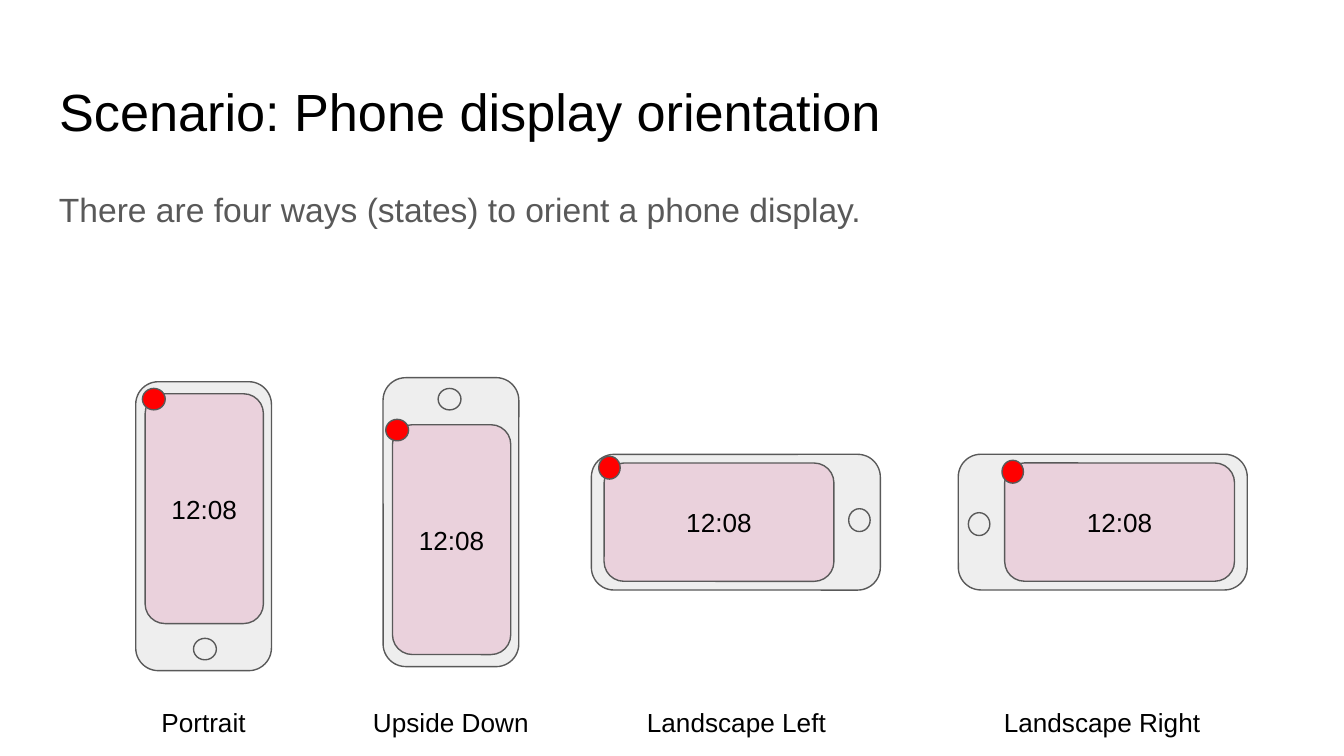
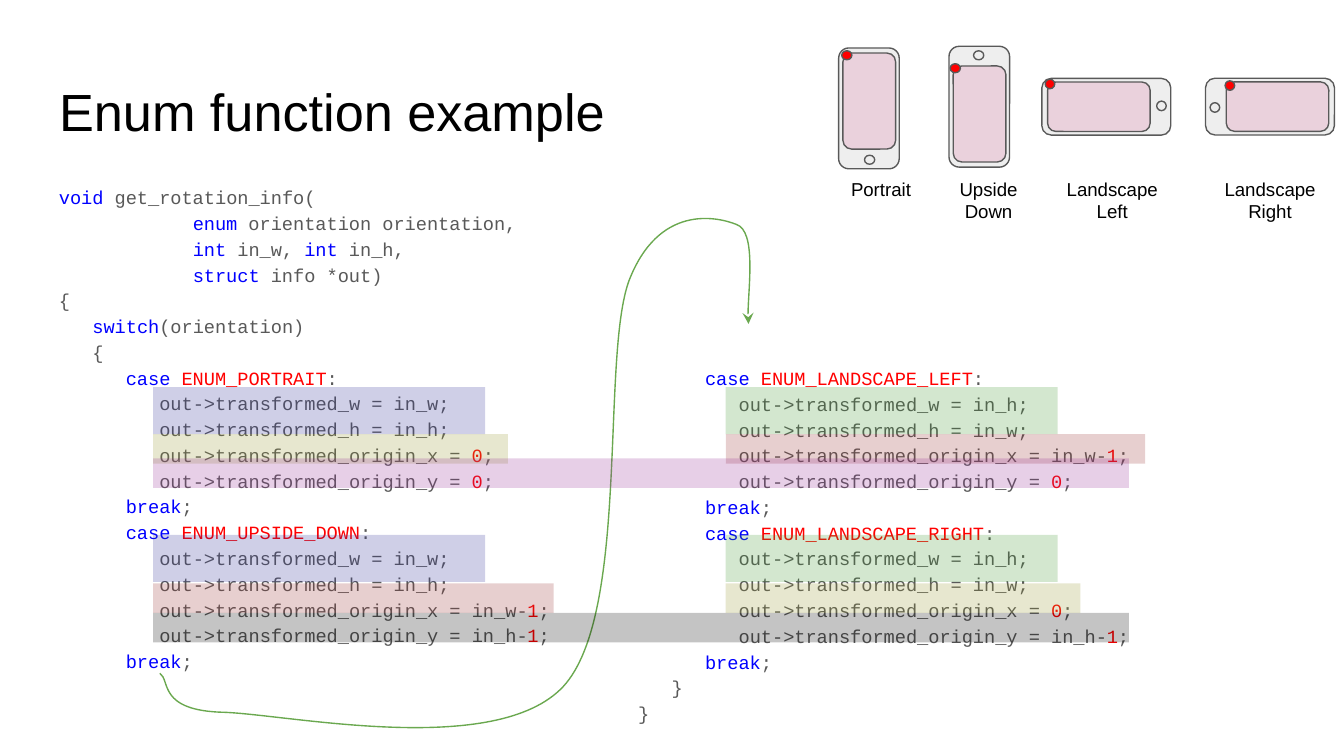
from dataclasses import dataclass
from itertools import groupby
from typing import NamedTuple

from lxml import etree
from pptx import Presentation, util as u
from pptx.dml.color import RGBColor
from pptx.enum import shapes, text
from pptx.oxml.ns import qn

# Shared look
BLACK = RGBColor(0x00, 0x00, 0x00)
GREY = RGBColor(0x59, 0x59, 0x59)
CASE_GREY = RGBColor(0xEE, 0xEE, 0xEE)
SCREEN_PINK = RGBColor(0xEA, 0xD1, 0xDC)
RED = RGBColor(0xFF, 0x00, 0x00)
BLUE = RGBColor(0x00, 0x00, 0xFF)
ARROW_GREEN = RGBColor(0x6A, 0xA8, 0x4F)
MARK_BLUE = RGBColor(0x33, 0x33, 0x99)
MARK_GREEN = RGBColor(0x44, 0x99, 0x33)
MARK_YELLOW = RGBColor(0x99, 0x99, 0x33)
MARK_RED = RGBColor(0x99, 0x33, 0x33)
MARK_PURPLE = RGBColor(0x99, 0x33, 0x99)
SANS, MONO = "Arial", "Courier New"
KEYWORDS = {"void", "enum", "int", "struct", "switch", "case", "break"}

# Grid: 100 columns across the slide, rows of the same size
WIDTH = u.Inches(10)
HEIGHT = WIDTH * 9 // 16
CELL = WIDTH // 100


def cells(count: float) -> u.Emu:
    return u.Emu(round(count * CELL))


class Box(NamedTuple):
    left: float
    top: float
    width: float
    height: float

    def place(self) -> list[u.Emu]:
        return [cells(value) for value in self]


class Point(NamedTuple):
    x: float
    y: float


class Part(NamedTuple):
    """A piece of a phone, sized as it is on an upright phone."""
    kind: shapes.MSO_SHAPE
    width: float
    height: float
    colour: RGBColor


class Frame(NamedTuple):
    """Shift and scale that place the row of phones on a slide."""
    left: float
    top: float
    scale_x: float
    scale_y: float


@dataclass(frozen=True)
class Phone:
    name: str
    rotation: int
    centres: tuple[Point, ...]  # one per entry of PARTS
    label: Box
    small_label: Box


class Mark(NamedTuple):
    box: Box
    colour: RGBColor


PARTS = (
    Part(shapes.MSO_SHAPE.FLOWCHART_ALTERNATE_PROCESS, 10.1, 21.5, CASE_GREY),
    Part(shapes.MSO_SHAPE.ROUNDED_RECTANGLE, 8.8, 17.1, SCREEN_PINK),
    Part(shapes.MSO_SHAPE.OVAL, 1.7, 1.6, CASE_GREY),
    Part(shapes.MSO_SHAPE.OVAL, 1.7, 1.6, RED),
)
SCREEN = 1
LABEL_ROW, SMALL_LABEL_ROW = 51.6, 13.2

PHONES = (
    Phone("Portrait", 0,
          (Point(15.15, 39.15), Point(15.2, 37.85), Point(15.25, 48.3), Point(11.45, 29.7)),
          Box(8.3, LABEL_ROW, 13.7, 3.6), Box(62.6, SMALL_LABEL_ROW, 5.9, 1.5)),
    Phone("Upside Down", 180,
          (Point(33.55, 38.85), Point(33.6, 40.15), Point(33.45, 29.7), Point(29.55, 32)),
          Box(26.7, LABEL_ROW, 13.7, 3.6), Box(70.6, SMALL_LABEL_ROW, 5.9, 1.5)),
    Phone("Landscape Left", 270,
          (Point(54.75, 38.85), Point(53.5, 38.85), Point(63.95, 38.7), Point(45.35, 34.8)),
          Box(46.8, LABEL_ROW, 16, 3.6), Box(79.3, SMALL_LABEL_ROW, 6.9, 1.5)),
    Phone("Landscape Right", 90,
          (Point(82.05, 38.85), Point(83.3, 38.85), Point(72.85, 39), Point(75.35, 35.1)),
          Box(73.4, LABEL_ROW, 17.2, 3.6), Box(90.8, SMALL_LABEL_ROW, 7.4, 1.5)),
)
FULL_SIZE = Frame(0, 0, 1, 1)
THUMBNAILS = Frame(57.9, -8.3, 0.446, 0.418)


# Text
def add_run(paragraph, words: str, size: float, colour: RGBColor, font: str = SANS) -> None:
    run = paragraph.add_run()
    run.text = words
    run.font.size = u.Pt(size)
    run.font.name = font
    run.font.color.rgb = colour


def set_frame(frame, inset: float = 1, anchor=text.MSO_ANCHOR.TOP) -> None:
    frame.word_wrap = True
    frame.auto_size = text.MSO_AUTO_SIZE.NONE
    frame.vertical_anchor = anchor
    frame.margin_left = frame.margin_right = cells(inset)
    frame.margin_top = frame.margin_bottom = cells(inset)


def add_text_box(slide, box: Box, inset: float = 1, anchor=text.MSO_ANCHOR.TOP):
    frame = slide.shapes.add_textbox(*box.place()).text_frame
    set_frame(frame, inset, anchor)
    return frame


def add_centred_text(slide, box: Box, words: str, size: float, inset: float = 1,
                     anchor=text.MSO_ANCHOR.TOP) -> None:
    paragraph = add_text_box(slide, box, inset, anchor).paragraphs[0]
    paragraph.alignment = text.PP_ALIGN.CENTER
    add_run(paragraph, words, size, BLACK)


def add_titled_slide(presentation, title: str):
    slide = presentation.slides.add_slide(presentation.slide_layouts[5])
    shape = slide.shapes.title
    shape.left, shape.top, shape.width, shape.height = Box(3.4, 4.9, 93.2, 6.3).place()
    set_frame(shape.text_frame)
    paragraph = shape.text_frame.paragraphs[0]
    paragraph.alignment = text.PP_ALIGN.LEFT
    add_run(paragraph, title, 28, BLACK)
    return slide


# Phones
def add_phone(slide, phone: Phone, frame: Frame) -> None:
    group = slide.shapes.add_group_shape()
    scales = frame.scale_x, frame.scale_y
    if phone.rotation % 180:
        scales = scales[::-1]
    for part, centre in zip(PARTS, phone.centres):
        width, height = part.width * scales[0], part.height * scales[1]
        box = Box(frame.left + centre.x * frame.scale_x - width / 2,
                  frame.top + centre.y * frame.scale_y - height / 2, width, height)
        shape = group.shapes.add_shape(part.kind, *box.place())
        shape.rotation = phone.rotation
        shape.shadow.inherit = False
        shape.fill.solid()
        shape.fill.fore_color.rgb = part.colour
        shape.line.color.rgb = GREY
        shape.line.width = u.Pt(0.75)


def add_clock(slide, phone: Phone) -> None:
    width, height = PARTS[SCREEN].width, PARTS[SCREEN].height
    if phone.rotation % 180:
        width, height = height, width
    centre = phone.centres[SCREEN]
    box = Box(centre.x - width / 2, centre.y - height / 2, width, height)
    add_centred_text(slide, box, "12:08", 14, anchor=text.MSO_ANCHOR.MIDDLE)


# Code
def case_lines(name: str, width: str, height: str, x: str, y: str) -> list[str]:
    fields = {"w": width, "h": height, "origin_x": x, "origin_y": y}
    return [f"      case {name}:",
            *(f"         out->transformed_{field} = {value};" for field, value in fields.items()),
            "      break;"]


LEFT_CODE = [
    "void get_rotation_info(",
    "            enum orientation orientation,",
    "            int in_w, int in_h,",
    "            struct info *out)",
    "{",
    "   switch(orientation)",
    "   {",
    *case_lines("ENUM_PORTRAIT", "in_w", "in_h", "0", "0"),
    *case_lines("ENUM_UPSIDE_DOWN", "in_w", "in_h", "in_w-1", "in_h-1"),
]
RIGHT_CODE = [
    *case_lines("ENUM_LANDSCAPE_LEFT", "in_h", "in_w", "in_w-1", "0"),
    *case_lines("ENUM_LANDSCAPE_RIGHT", "in_h", "in_w", "0", "in_h-1"),
    "   }",
    "}",
]


def token_colour(token: str) -> RGBColor:
    if token in KEYWORDS:
        return BLUE
    return RED if token.isdigit() or token.startswith("ENUM_") else GREY


def add_code(slide, box: Box, lines: list[str]) -> None:
    frame = add_text_box(slide, box)
    for number, line in enumerate(lines):
        paragraph = frame.add_paragraph() if number else frame.paragraphs[0]
        paragraph.line_spacing = 1.15
        tokens = ["".join(group) for _, group in
                  groupby(line, lambda letter: letter.isalnum() or letter == "_")]
        for colour, group in groupby(tokens, token_colour):
            add_run(paragraph, "".join(group), 10, colour, MONO)


LEFT_MARK, RIGHT_MARK = 11.4, 54
MARKS = (
    *(Mark(Box(left, top, 24.7, 3.5), colour)
      for left, colour in ((LEFT_MARK, MARK_BLUE), (RIGHT_MARK, MARK_GREEN))
      for top in (28.8, 39.8)),
    Mark(Box(LEFT_MARK, 32.3, 26.4, 2.2), MARK_YELLOW),
    Mark(Box(RIGHT_MARK, 43.4, 26.4, 2.2), MARK_YELLOW),
    Mark(Box(LEFT_MARK, 43.4, 29.8, 2.2), MARK_RED),
    Mark(Box(RIGHT_MARK, 32.3, 31.2, 2.2), MARK_RED),
    Mark(Box(LEFT_MARK, 34.1, 72.6, 2.2), MARK_PURPLE),
    Mark(Box(LEFT_MARK, 45.6, 72.6, 2.2), BLACK),
)


def add_mark(slide, mark: Mark) -> None:
    shape = slide.shapes.add_shape(shapes.MSO_SHAPE.RECTANGLE, *mark.box.place())
    shape.shadow.inherit = False
    shape.line.fill.background()
    shape.fill.solid()
    shape.fill.fore_color.rgb = mark.colour
    colour = shape.fill._xPr.find(f".//{qn('a:srgbClr')}")
    etree.SubElement(colour, qn("a:alpha"), val="23000")


# Start point, then two control points and an end point for each bend
FLOW = (
    Point(11.9, 50.1),
    Point(12.7, 50.6), Point(11.7, 52.9), Point(16.7, 53),
    Point(21.7, 53.2), Point(36.9, 56.4), Point(41.9, 51.1),
    Point(46.9, 45.7), Point(44.7, 26.7), Point(46.8, 20.9),
    Point(49, 15.2), Point(53.3, 16.1), Point(54.8, 16.7),
    Point(56.3, 17.2), Point(55.5, 22.9), Point(55.7, 24.1),
)


def add_curved_arrow(slide, points: tuple[Point, ...]) -> None:
    start, *rest = [(cells(point.x), cells(point.y)) for point in points]
    builder = slide.shapes.build_freeform(*start)
    builder.add_line_segments(rest, close=False)
    shape = builder.convert_to_shape()
    shape.shadow.inherit = False
    shape.fill.background()
    shape.line.color.rgb = ARROW_GREEN
    shape.line.width = u.Pt(0.75)
    etree.SubElement(shape.line._get_or_add_ln(), qn("a:tailEnd"), type="stealth")
    # Turn every three straight steps into one Bézier bend
    outline = shape._element.find(f".//{qn('a:path')}")
    steps = outline.findall(qn("a:lnTo"))
    for first in range(0, len(steps), 3):
        bend = etree.SubElement(outline, qn("a:cubicBezTo"))
        for step in steps[first:first + 3]:
            bend.append(step[0])
            outline.remove(step)


# Slides
def add_scenario_slide(presentation) -> None:
    slide = add_titled_slide(presentation, "Scenario: Phone display orientation")
    paragraph = add_text_box(slide, Box(3.4, 12.6, 84.9, 14.5)).paragraphs[0]
    paragraph.line_spacing = 1.15
    add_run(paragraph, "There are four ways (states) to orient a phone display.", 18, GREY)
    for phone in PHONES:
        add_phone(slide, phone, FULL_SIZE)
        add_centred_text(slide, phone.label, phone.name, 14)
        add_clock(slide, phone)


def add_enum_slide(presentation) -> None:
    slide = add_titled_slide(presentation, "Enum function example")
    add_code(slide, Box(3.4, 12.6, 43.7, 37.4), LEFT_CODE)
    add_code(slide, Box(46.5, 26.05, 50.1, 23.95), RIGHT_CODE)
    add_curved_arrow(slide, FLOW)
    for phone in PHONES:
        add_phone(slide, phone, THUMBNAILS)
        add_centred_text(slide, phone.small_label, phone.name, 10, inset=0)
    for mark in MARKS:
        add_mark(slide, mark)


def main() -> None:
    presentation = Presentation()
    presentation.slide_width, presentation.slide_height = WIDTH, HEIGHT
    add_scenario_slide(presentation)
    add_enum_slide(presentation)
    presentation.save("out.pptx")


if __name__ == "__main__":
    main()
